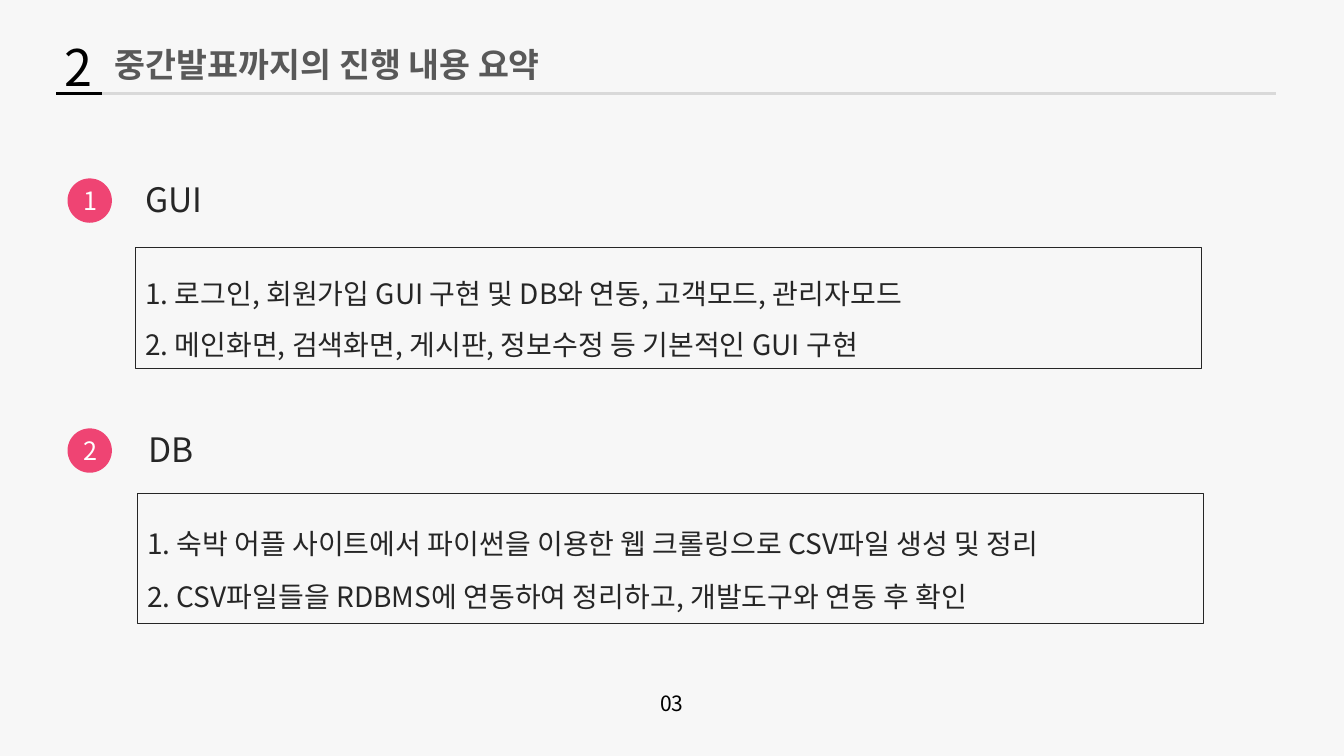
from dataclasses import dataclass

from lxml import etree
from pptx import Presentation
from pptx import util as u
from pptx.dml.color import RGBColor
from pptx.enum import shapes, text
from pptx.oxml import ns
from pptx.shapes.autoshape import Shape
from pptx.slide import Slide
from pptx.text.text import TextFrame

FONT = "Noto Sans CJK KR"
COLORS = {
    "background": "F7F7F7",
    "title": "595959",
    "ink": "262626",
    "black": "000000",
    "white": "FFFFFF",
    "rule": "D9D9D9",
    "badge": "EF4473",
}


@dataclass(frozen=True)
class Box:
    left: float
    top: float
    width: float
    height: float

    def lengths(self) -> tuple[u.Length, ...]:
        return tuple(u.Inches(side) for side in (self.left, self.top, self.width, self.height))


@dataclass(frozen=True)
class Label:
    words: str
    box: Box
    size: int
    color: str
    wrap: bool = True
    space_after: int = 0


@dataclass(frozen=True)
class Rule:
    start: float
    end: float
    color: str


@dataclass(frozen=True)
class Section:
    heading: Label
    badge_top: float
    frame: Box
    line_spacing: float
    alignment: text.PP_ALIGN
    items: tuple[str, ...]


TITLE = Label("중간발표까지의 진행 내용 요약", Box(1.04, 0.39, 4.75, 0.5), 24, "title", False, 15)
LABELS = (
    Label("2", Box(0.54, 0.31, 0.69, 0.71), 36, "black"),
    Label("03", Box(6.45, 6.8, 0.43, 0.35), 15, "black", False, 15),
)
RULE_TOP = 0.93
RULES = (Rule(1.01, 12.66, "rule"), Rule(0.56, 1.01, "black"))
BADGE_LEFT, BADGE_SIZE = 0.67, 0.44
SECTIONS = (
    Section(
        Label("GUI", Box(1.34, 1.73, 4.23, 0.5), 24, "ink"),
        1.77,
        Box(1.34, 2.46, 10.58, 1.2),
        1.5,
        text.PP_ALIGN.LEFT,
        (
            "1. 로그인, 회원가입 GUI 구현 및 DB와 연동, 고객모드, 관리자모드",
            "2. 메인화면, 검색화면, 게시판, 정보수정 등 기본적인 GUI 구현",
        ),
    ),
    Section(
        Label("DB", Box(1.37, 4.21, 1.62, 0.5), 24, "ink"),
        4.25,
        Box(1.36, 4.9, 10.58, 1.29),
        1.6,
        text.PP_ALIGN.JUSTIFY,
        (
            "1. 숙박 어플 사이트에서 파이썬을 이용한 웹 크롤링으로 CSV파일 생성 및 정리",
            "2. CSV파일들을 RDBMS에 연동하여 정리하고, 개발도구와 연동 후 확인",
        ),
    ),
)


def rgb(name: str) -> RGBColor:
    """Return a named colour."""
    return RGBColor.from_string(COLORS[name])


def format_runs(frame: TextFrame, size: int, color: str, bold: bool = False) -> None:
    """Give every run the same font, size and colour."""
    for paragraph in frame.paragraphs:
        for run in paragraph.runs:
            font = run.font
            font.name, font.size, font.bold = FONT, u.Pt(size), bold
            font.color.rgb = rgb(color)
            east_asian = etree.SubElement(font._element, ns.qn("a:ea"))
            east_asian.set("typeface", FONT)


def fill_label(shape: Shape, label: Label, bold: bool = False) -> None:
    """Place a text shape and write its label."""
    shape.left, shape.top, shape.width, shape.height = label.box.lengths()
    frame = shape.text_frame
    frame.text = label.words
    frame.word_wrap = label.wrap
    frame.auto_size = text.MSO_AUTO_SIZE.SHAPE_TO_FIT_TEXT
    frame.vertical_anchor = text.MSO_ANCHOR.TOP
    paragraph = frame.paragraphs[0]
    paragraph.alignment = text.PP_ALIGN.LEFT
    paragraph.space_before = u.Pt(0)
    paragraph.space_after = u.Pt(label.space_after)
    format_runs(frame, label.size, label.color, bold)


def add_label(slide: Slide, label: Label) -> None:
    """Add a text box for a label."""
    fill_label(slide.shapes.add_textbox(*label.box.lengths()), label)


def add_rule(slide: Slide, rule: Rule) -> None:
    """Draw one part of the line under the title."""
    top = u.Inches(RULE_TOP)
    connector = slide.shapes.add_connector(
        shapes.MSO_CONNECTOR.STRAIGHT, u.Inches(rule.start), top, u.Inches(rule.end), top
    )
    connector.line.color.rgb = rgb(rule.color)
    connector.line.width = u.Pt(2)
    etree.SubElement(connector._element.spPr, ns.qn("a:effectLst"))


def add_badge(slide: Slide, number: int, top: float) -> None:
    """Draw a numbered circle."""
    box = Box(BADGE_LEFT, top, BADGE_SIZE, BADGE_SIZE)
    badge = slide.shapes.add_shape(shapes.MSO_SHAPE.OVAL, *box.lengths())
    badge.shadow.inherit = False
    badge.fill.solid()
    badge.fill.fore_color.rgb = rgb("badge")
    badge.line.fill.background()
    frame = badge.text_frame
    frame.text = str(number)
    frame.vertical_anchor = text.MSO_ANCHOR.MIDDLE
    frame.paragraphs[0].alignment = text.PP_ALIGN.CENTER
    format_runs(frame, 18, "white")


def add_section(slide: Slide, number: int, section: Section) -> None:
    """Draw a heading, its badge and its framed list."""
    add_label(slide, section.heading)
    add_badge(slide, number, section.badge_top)
    shape = slide.shapes.add_shape(shapes.MSO_SHAPE.RECTANGLE, *section.frame.lengths())
    shape.shadow.inherit = False
    shape.fill.background()
    shape.line.color.rgb = rgb("ink")
    shape.line.width = u.Pt(0.75)
    frame = shape.text_frame
    frame.text = "\n".join(section.items)
    frame.word_wrap = True
    frame.vertical_anchor = text.MSO_ANCHOR.TOP
    frame.margin_top = frame.margin_bottom = u.Inches(0.12)
    for paragraph in frame.paragraphs:
        paragraph.alignment = section.alignment
        paragraph.line_spacing = section.line_spacing
    format_runs(frame, 20, "ink")


def main() -> None:
    """Build the summary slide and save it."""
    presentation = Presentation()
    presentation.slide_width, presentation.slide_height = u.Inches(13.33), u.Inches(7.5)
    slide = presentation.slides.add_slide(presentation.slide_layouts[5])
    slide.background.fill.solid()
    slide.background.fill.fore_color.rgb = rgb("background")
    fill_label(slide.shapes.title, TITLE, bold=True)
    for rule in RULES:
        add_rule(slide, rule)
    for label in LABELS:
        add_label(slide, label)
    for number, section in enumerate(SECTIONS, 1):
        add_section(slide, number, section)
    presentation.save("out.pptx")


if __name__ == "__main__":
    main()
